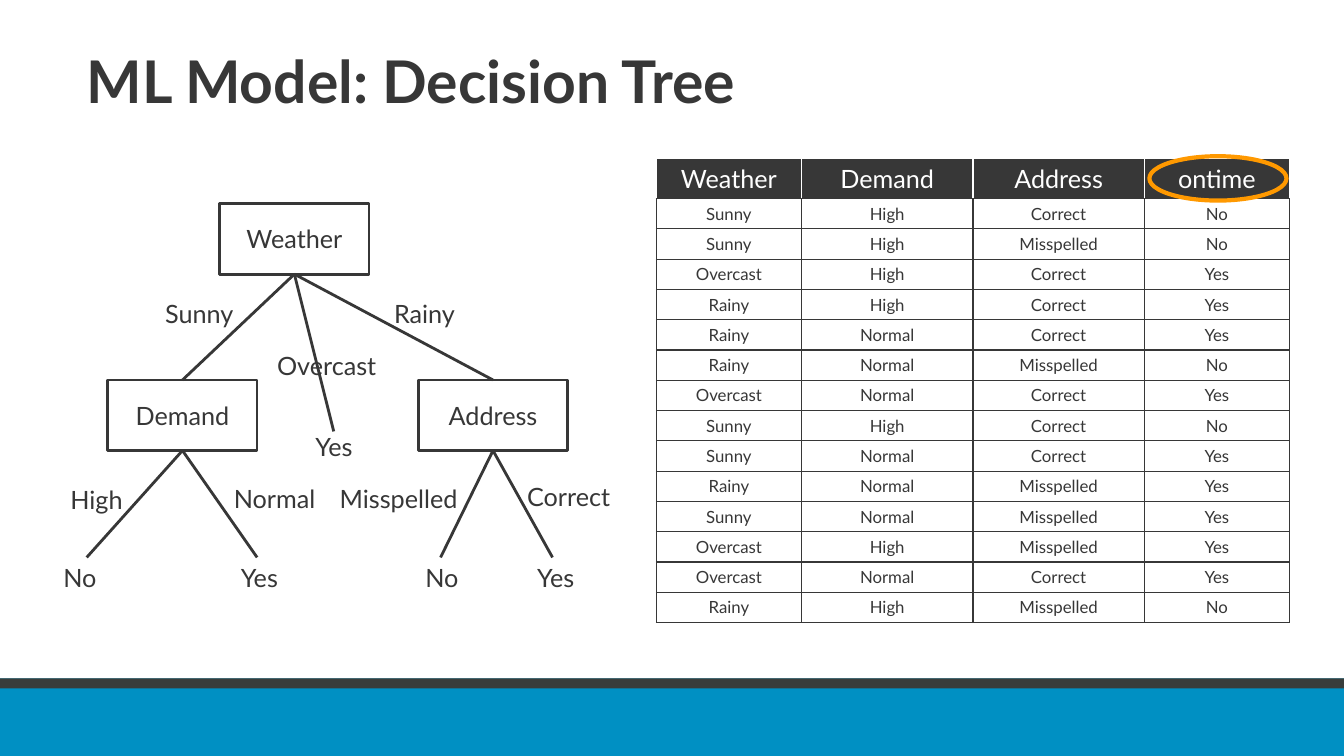
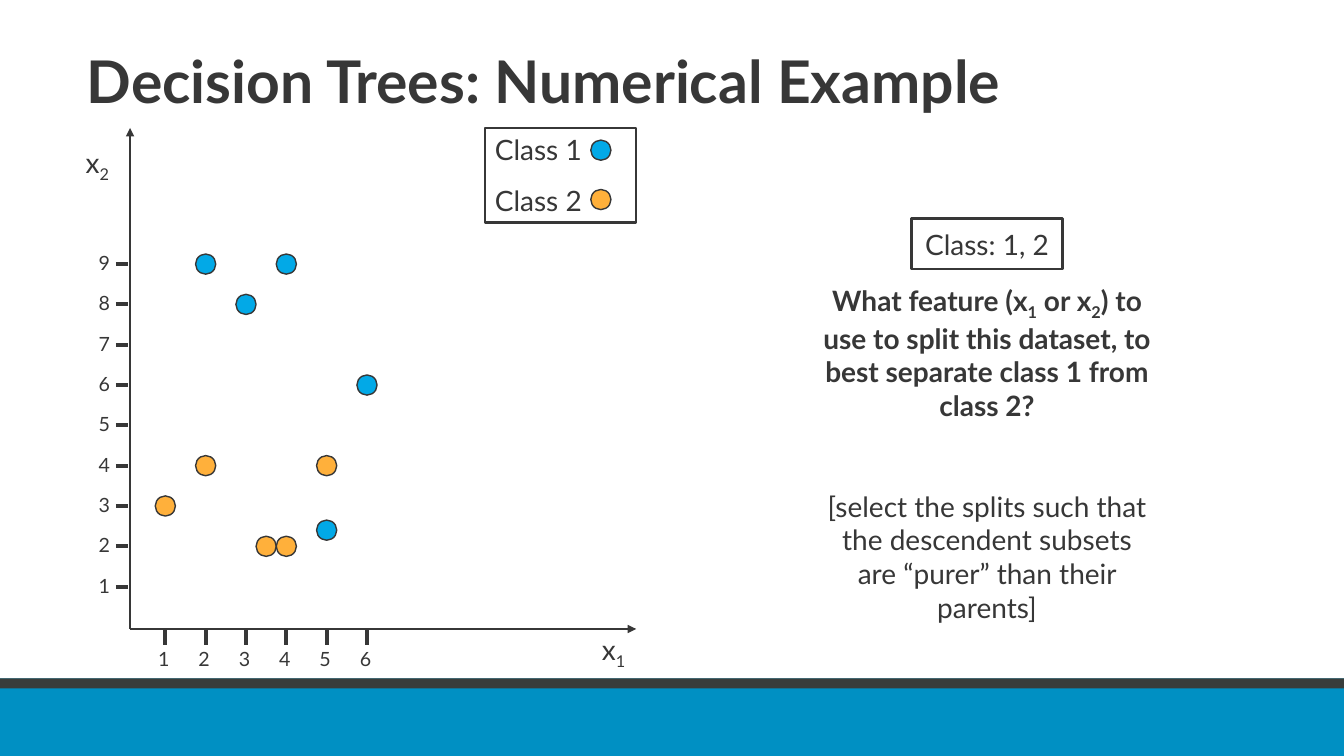
import dataclasses

import lxml.etree
import pptx
import pptx.dml.color
import pptx.enum.shapes
import pptx.enum.text
import pptx.oxml.ns
import pptx.util

INK, WHITE, BAND = "373737", "FFFFFF", "0090C3"
STRIPE, HIGHLIGHT = "383D3B", "FF9900"
CLASS_COLORS = {1: "02A9E7", 2: "FFB03B"}
FONT = "Lato"
WIDTH, HEIGHT = 13.33, 7.5
SHAPES = pptx.enum.shapes.MSO_SHAPE
ALIGN = pptx.enum.text.PP_ALIGN
ANCHOR = pptx.enum.text.MSO_ANCHOR
CENTER, LEFT = ALIGN.CENTER, ALIGN.LEFT
BOTTOM, TOP = 2, 0

DELIVERIES = """Sunny High Correct No
Sunny High Misspelled No
Overcast High Correct Yes
Rainy High Correct Yes
Rainy Normal Correct Yes
Rainy Normal Misspelled No
Overcast Normal Correct Yes
Sunny High Correct No
Sunny Normal Correct Yes
Rainy Normal Misspelled Yes
Sunny Normal Misspelled Yes
Overcast High Misspelled Yes
Overcast Normal Correct Yes
Rainy High Misspelled No"""

POINTS = {
    1: [(2, 9), (4, 9), (3, 8), (6, 6), (5, 2.4)],
    2: [(1, 3), (2, 4), (5, 4), (3.5, 2), (4, 2)],
}


@dataclasses.dataclass
class Grid:
    left: float
    top: float
    column: float
    row: float

    def point(self, column, row):
        return self.left + column * self.column, self.top + row * self.row

    def box(self, column, row, columns, rows):
        return *self.point(column, row), columns * self.column, rows * self.row


def inches(values):
    return [pptx.util.Inches(value) for value in values]


def rgb(color):
    return pptx.dml.color.RGBColor.from_string(color)


def add_xml(parent, tag, **attributes):
    return lxml.etree.SubElement(parent, pptx.oxml.ns.qn(tag), attributes)


def set_font(para, size, color=INK, bold=False):
    para.font.name = FONT
    para.font.size = pptx.util.Pt(size)
    para.font.color.rgb = rgb(color)
    para.font.bold = bold


def add_span(para, text, subscript=False):
    span = para.add_run()
    span.text = text
    if subscript:
        span._r.get_or_add_rPr().set("baseline", "-25000")


def write(para, text, size, align=LEFT, color=INK, bold=False):
    first, *others = text.split("_")
    add_span(para, first)
    for part in others:
        add_span(para, part[0], subscript=True)
        if part[1:]:
            add_span(para, part[1:])
    para.alignment = align
    set_font(para, size, color, bold)


def write_lines(frame, lines, size, gap=12):
    for index, line in enumerate(lines):
        para = frame.paragraphs[0] if index == 0 else frame.add_paragraph()
        write(para, line, size)
        if index:
            para.space_before = pptx.util.Pt(gap)


def add_text_box(page, box):
    frame = page.shapes.add_textbox(*inches(box)).text_frame
    frame.word_wrap = True
    return frame


def add_label(page, box, text, size):
    write(add_text_box(page, box).paragraphs[0], text, size)


def add_shape(page, kind, box, fill=None, line=None, weight=1):
    shape = page.shapes.add_shape(kind, *inches(box))
    shape.shadow.inherit = False
    if fill:
        shape.fill.solid()
        shape.fill.fore_color.rgb = rgb(fill)
    else:
        shape.fill.background()
    if line:
        shape.line.color.rgb = rgb(line)
        shape.line.width = pptx.util.Pt(weight)
    else:
        shape.line.fill.background()
    return shape


def add_framed_text(page, box, text, size):
    shape = add_shape(page, SHAPES.RECTANGLE, box, line=INK, weight=2)
    shape.text_frame.vertical_anchor = ANCHOR.MIDDLE
    write(shape.text_frame.paragraphs[0], text, size, CENTER)
    return shape


def add_line(page, start, end, weight=2, arrow=False):
    line = page.shapes.add_connector(
        pptx.enum.shapes.MSO_CONNECTOR.STRAIGHT, *inches((*start, *end)))
    line.line.color.rgb = rgb(INK)
    line.line.width = pptx.util.Pt(weight)
    if arrow:
        add_xml(line.line._get_or_add_ln(), "a:tailEnd", type="triangle")
    add_xml(line._element.spPr, "a:effectLst")
    return line


def add_page(deck, title):
    page = deck.slides.add_slide(deck.slide_layouts[5])
    holder = page.shapes.title
    holder.left, holder.top, holder.width, holder.height = inches(
        (0.76, 0.32, 12.15, 1.08))
    holder.text_frame.auto_size = pptx.enum.text.MSO_AUTO_SIZE.NONE
    holder.text_frame.vertical_anchor = ANCHOR.MIDDLE
    para = holder.text_frame.paragraphs[0]
    write(para, title, 42, bold=True)
    para.line_spacing = 0.8
    return page


def add_master_bands(deck, page):
    tree = deck.slide_master.shapes.element
    for index, (height, color) in enumerate([(0.77, BAND), (0.1, STRIPE)]):
        band = add_shape(page, SHAPES.RECTANGLE,
                         (0, HEIGHT - 0.77, WIDTH, height), fill=color)
        tree.insert(2 + index, band._element)


def draw_tree(page, grid):
    nodes = {
        name: add_framed_text(page, grid.box(column, row, 14.8, 7), name, 18)
        for name, column, row in [
            ("Weather", 16.5, 0), ("Demand", 5.4, 17.5), ("Address", 36.2, 17.5)]
    }
    for child in ("Demand", "Address"):
        branch = add_line(page, grid.point(0, 0), grid.point(1, 1))
        branch.begin_connect(nodes["Weather"], BOTTOM)
        branch.end_connect(nodes[child], TOP)
    leaves = [
        ("Weather", "Yes", (27.8, 22.6), (25, 22.1)),
        ("Demand", "No", (3.3, 35.1), (0, 35.1)),
        ("Demand", "Yes", (20.2, 35.1), (17.6, 35.1)),
        ("Address", "No", (38.4, 35.1), (35.9, 35.1)),
        ("Address", "Yes", (49.5, 35.1), (47, 35.1)),
    ]
    for parent, answer, end, corner in leaves:
        branch = add_line(page, grid.point(0, 0), grid.point(*end))
        branch.begin_connect(nodes[parent], BOTTOM)
        add_label(page, grid.box(*corner, 6.6, 4), answer, 18)
    branch_labels = [
        ("Sunny", 10.1, 8.9, 9.4), ("Rainy", 32.8, 8.9, 9.4),
        ("Overcast", 21.2, 14.1, 13.2), ("High", 0.7, 27.4, 8.7),
        ("Normal", 16.9, 27.3, 10.8), ("Misspelled", 27.4, 27.3, 14.2),
        ("Correct", 46, 27.1, 10.4),
    ]
    for text, column, row, columns in branch_labels:
        add_label(page, grid.box(column, row, columns, 4), text, 18)


def format_cell(cell, text, header):
    edge = WHITE if header else INK
    properties = cell._tc.get_or_add_tcPr()
    for side, color in (("L", edge), ("R", edge), ("T", edge), ("B", INK)):
        border = add_xml(properties, f"a:ln{side}", w="12700")
        add_xml(add_xml(border, "a:solidFill"), "a:srgbClr", val=color)
    if header:
        cell.fill.solid()
        cell.fill.fore_color.rgb = rgb(INK)
        cell.vertical_anchor = ANCHOR.MIDDLE
    else:
        cell.fill.background()
    write(cell.text_frame.paragraphs[0], text, 18 if header else 12, CENTER,
          WHITE if header else INK)


def draw_deliveries(page, left, top):
    rows = [["Weather", "Demand", "Address", "ontime"]]
    rows += [line.split() for line in DELIVERIES.splitlines()]
    widths = [1.44, 1.7, 1.7, 1.44]
    heights = [0.39] + [0.3] * (len(rows) - 1)
    table = page.shapes.add_table(
        len(rows), len(widths),
        *inches((left, top, sum(widths), sum(heights)))).table
    table.first_row = table.horz_banding = False
    for column, width in zip(table.columns, widths):
        column.width = pptx.util.Inches(width)
    for index, height in enumerate(heights):
        table.rows[index].height = pptx.util.Inches(height)
        for column, text in enumerate(rows[index]):
            format_cell(table.cell(index, column), text, index == 0)
    add_shape(page, SHAPES.OVAL,
              (left + sum(widths[:3]) + 0.05, top - 0.02, 1.36, 0.44),
              line=HIGHLIGHT, weight=3)


def add_dot(page, center, class_number):
    x, y = center
    add_shape(page, SHAPES.OVAL, (x - 0.1, y - 0.1, 0.2, 0.2),
              fill=CLASS_COLORS[class_number], line=INK)


def draw_legend(page, left, top):
    legend = add_shape(page, SHAPES.RECTANGLE, (left, top, 1.5, 0.94),
                       line=INK, weight=1.75)
    legend.text_frame.vertical_anchor = ANCHOR.TOP
    write_lines(legend.text_frame, [f"Class {number}" for number in CLASS_COLORS], 20)
    for number in CLASS_COLORS:
        add_dot(page, (left + 1.15, top - 0.27 + 0.49 * number), number)


def draw_plot(page, grid):
    x, y = grid.left + 0.05, grid.top + 0.02
    add_line(page, (x, y), (x + 5.02, y), arrow=True)
    add_line(page, (x, y), (x, y - 4.97), arrow=True)
    for value in range(1, 10):
        height = grid.point(0, value)[1]
        add_line(page, (x - 0.14, height), (x - 0.02, height), weight=3)
    for value in range(1, 7):
        across = grid.point(value, 0)[0]
        add_line(page, (across, y), (across, y + 0.16), weight=3)
    write_lines(add_text_box(page, (x - 0.41, y - 3.8, 0.38, 3.57)),
                "987654321", 14)
    para = add_text_box(page, (x + 0.18, y + 0.13, 2.9, 0.34)).paragraphs[0]
    stops = add_xml(para._p.get_or_add_pPr(), "a:tabLst")
    for step in range(1, 6):
        add_xml(stops, "a:tab", algn="l",
                pos=str(pptx.util.Inches(step * grid.column)))
    write(para, "\t".join("123456"), 14)
    add_label(page, (x + 4.58, y - 0.01, 0.45, 0.44), "x_1", 20)
    add_label(page, (x - 0.54, y - 4.85, 0.45, 0.44), "x_2", 20)
    for number, points in POINTS.items():
        for point in points:
            add_dot(page, grid.point(*point), number)
    draw_legend(page, x + 3.52, y - 4.97)


def draw_question(page, left, top, width):
    add_framed_text(page, (left + (width - 1.5) / 2, top, 1.5, 0.5),
                    "Class: 1, 2", 20)
    frame = add_text_box(page, (left, top + 0.59, width, 3.47))
    write(frame.paragraphs[0],
          "What feature (x_1 or x_2) to use to split this dataset, "
          "to best separate class 1 from class 2?", 20, CENTER, bold=True)
    hint = frame.add_paragraph()
    write(hint, "[select the splits such that the descendent subsets "
          "are “purer” than their parents]", 20, CENTER)
    hint.space_before = pptx.util.Pt(48)


def main():
    deck = pptx.Presentation()
    deck.slide_width, deck.slide_height = inches((WIDTH, HEIGHT))
    page = add_page(deck, "ML Model: Decision Tree")
    add_master_bands(deck, page)
    draw_tree(page, Grid(0.53, 2.02, 0.1, 0.1))
    draw_deliveries(page, 6.51, 1.57)
    page = add_page(deck, "Decision Trees: Numerical Example")
    draw_question(page, 8.06, 2.17, 3.46)
    draw_plot(page, Grid(1.24, 6.22, 0.4, -0.4))
    deck.save("out.pptx")


if __name__ == "__main__":
    main()
